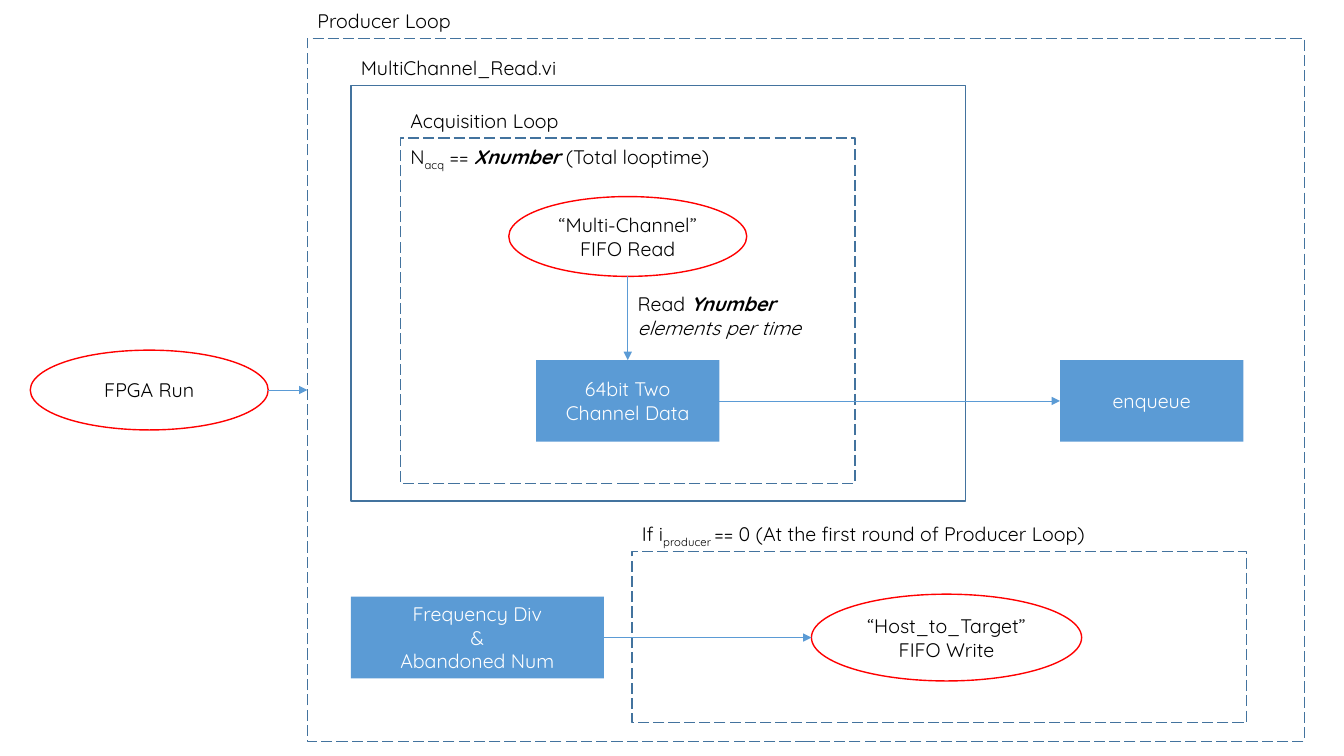
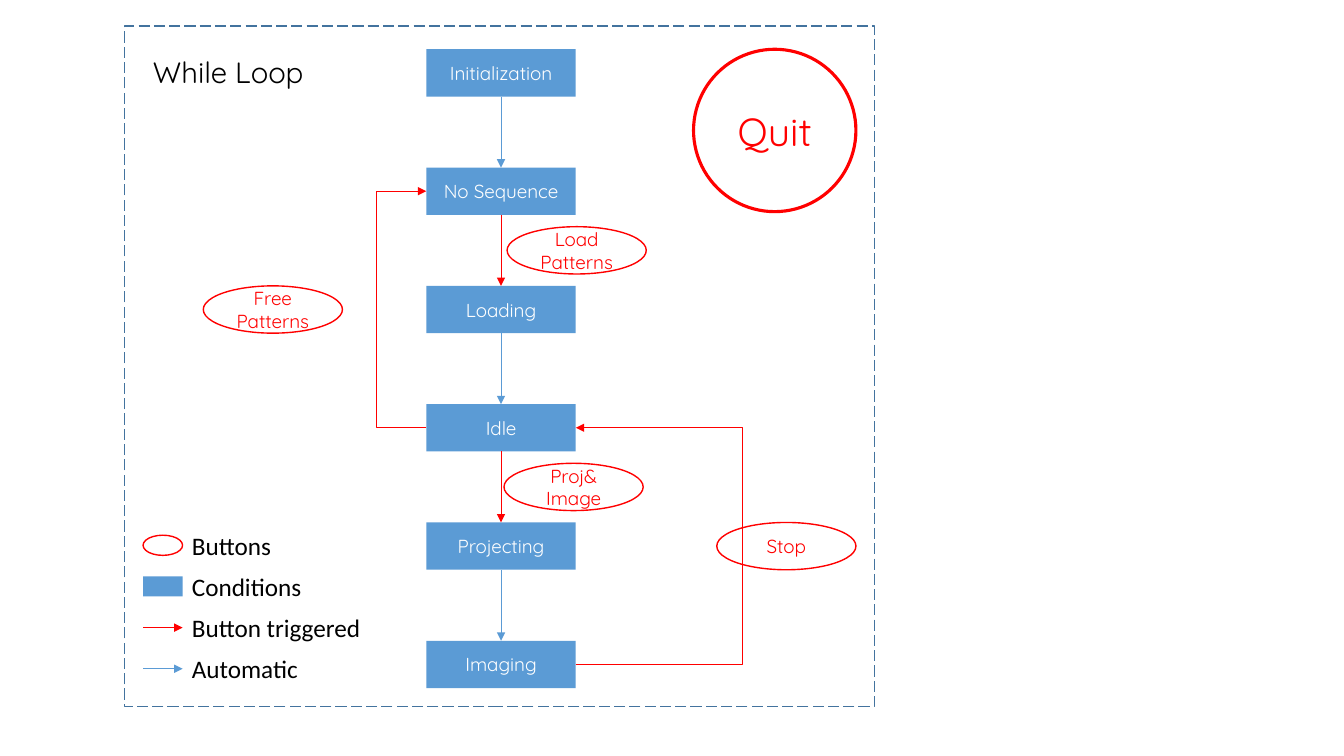
from lxml import etree
from pptx import Presentation
from pptx.dml.color import RGBColor
from pptx.enum.dml import MSO_LINE
from pptx.enum.shapes import MSO_CONNECTOR, MSO_SHAPE
from pptx.enum.text import MSO_ANCHOR, MSO_AUTO_SIZE, PP_ALIGN
from pptx.oxml.ns import qn
from pptx.util import Pt

# Shared style
BLUE = RGBColor(0x5B, 0x9B, 0xD5)
FRAME_BLUE = RGBColor(0x43, 0x73, 0x9E)
RED = RGBColor(0xFF, 0x00, 0x00)
BLACK = RGBColor(0x00, 0x00, 0x00)
WHITE = RGBColor(0xFF, 0xFF, 0xFF)
FONT = "Quicksand"
LEGEND_FONT = "Calibri"

RECT, OVAL = MSO_SHAPE.RECTANGLE, MSO_SHAPE.OVAL
STRAIGHT, ELBOW = MSO_CONNECTOR.STRAIGHT, MSO_CONNECTOR.ELBOW
LONG_DASH = MSO_LINE.LONG_DASH
CENTER, MIDDLE = PP_ALIGN.CENTER, MSO_ANCHOR.MIDDLE
FIT_SHAPE = MSO_AUTO_SIZE.SHAPE_TO_FIT_TEXT
TOP, LEFT, BOTTOM, RIGHT = range(4)


def side_point(sp, side):
    """Middle of one side of a shape, in points."""
    fx, fy = ((0.5, 0), (0, 0.5), (0.5, 1), (1, 0.5))[side]
    return (sp.left + sp.width * fx) / Pt(1), (sp.top + sp.height * fy) / Pt(1)


class Diagram:
    def __init__(self, prs, size):
        self.slide = prs.slides.add_slide(prs.slide_layouts[6])
        self.size = size

    def set_font(self, p, size, color, name=FONT):
        p.font.size, p.font.name = Pt(size), name
        p.font.color.rgb = color

    def shape(self, kind, at, fill=None, line=None, weight=1, shapes=None):
        shapes = shapes or self.slide.shapes
        sp = shapes.add_shape(kind, *map(Pt, at))
        sp.shadow.inherit = False
        if fill is None:
            sp.fill.background()
        else:
            sp.fill.solid()
            sp.fill.fore_color.rgb = fill
        if line is None:
            sp.line.fill.background()
        else:
            sp.line.color.rgb = line
            sp.line.width = Pt(weight)
        return sp

    def caption(self, sp, text, color, size=None):
        tf = sp.text_frame
        tf.text = text
        tf.vertical_anchor = MIDDLE
        for p in tf.paragraphs:
            p.alignment = CENTER
            self.set_font(p, size or self.size, color)

    def block(self, at, text=""):
        sp = self.shape(RECT, at, fill=BLUE)
        if text:
            self.caption(sp, text, WHITE)
        return sp

    def oval(self, at, text="", color=RED, size=None, weight=1):
        sp = self.shape(OVAL, at, line=RED, weight=weight)
        if text:
            self.caption(sp, text, color, size)
        return sp

    def text(self, at, runs, size=None, name=FONT, shapes=None):
        """Runs are (text, style) pairs; style is any of b, i and s (subscript)."""
        sp = (shapes or self.slide.shapes).add_textbox(*map(Pt, at))
        tf = sp.text_frame
        tf.word_wrap = True
        tf.auto_size = FIT_SHAPE
        p = tf.paragraphs[0]
        self.set_font(p, size or self.size, BLACK, name)
        for words, style in runs:
            r = p.add_run()
            r.text = words
            if "b" in style:
                r.font.bold = True
            if "i" in style:
                r.font.italic = True
            if "s" in style:
                r.font._element.set("baseline", "-25000")

    def frame(self, at, runs=None, label_width=0, dashed=True):
        """Outline, grouped with the label above it if there is one."""
        shapes = self.slide.shapes
        if runs:
            shapes = shapes.add_group_shape().shapes
        sp = self.shape(RECT, at, line=FRAME_BLUE, shapes=shapes)
        if dashed:
            sp.line.dash_style = LONG_DASH
        if runs:
            x, y = at[:2]
            self.text((x, y - 24.5, label_width, 24.5), runs, shapes=shapes)
        return sp

    def arrow(self, begin, end, color, kind=STRAIGHT):
        cxn = self.slide.shapes.add_connector(kind, *map(Pt, (*begin, *end)))
        cxn.line.color.rgb = color
        cxn.line.width = Pt(0.5)
        etree.SubElement(cxn.line._get_or_add_ln(), qn("a:tailEnd"), type="triangle")
        etree.SubElement(cxn._element.spPr, qn("a:effectLst"))
        return cxn

    def link(self, a, a_side, b, b_side, color=BLUE):
        cxn = self.arrow(side_point(a, a_side), side_point(b, b_side), color)
        if a.auto_shape_type == RECT:
            cxn.begin_connect(a, a_side)
        if b.auto_shape_type == RECT:
            cxn.end_connect(b, b_side)

    def loop_back(self, a, b, side, reach):
        """Bent arrow between the same side of two stacked shapes."""
        nudge = 0.1  # the bend is a multiple of the width, so it cannot be zero
        (x1, y1), (x2, y2) = side_point(a, side), side_point(b, side)
        x2 += nudge if side == RIGHT else -nudge
        cxn = self.arrow((x1, y1), (x2, y2), RED, ELBOW)
        guides = cxn._element.spPr.find(qn("a:prstGeom")).get_or_add_avLst()
        bend = round(reach / nudge * 100000)
        etree.SubElement(guides, qn("a:gd"), name="adj1", fmla=f"val {bend}")


def producer_slide(prs):
    d = Diagram(prs, 14)

    # Nested loops
    producer = d.frame((219.6, 27.4, 712.1, 502.4), [("Producer Loop", "")], 190.8)
    d.frame((250.6, 61.2, 439.2, 296.6), [("MultiChannel_Read.vi", "")], 190.8,
            dashed=False)
    d.frame((286, 98.6, 324.7, 247), [("Acquisition Loop", "")], 248.4)
    d.frame((451.4, 393.8, 439.2, 122.4),
            [("If i", ""), ("producer ", "s"),
             ("== 0 (At the first round of Producer Loop)", "")], 365)

    # Notes in the acquisition loop
    d.text((286, 100.1, 248.4, 24.5),
           [("N", ""), ("acq", "s"), (" == ", ""), ("Xnumber ", "bi"),
            ("(Total looptime)", "")])
    d.text((448.4, 205.2, 146.9, 41),
           [("Read ", ""), ("Ynumber", "bi"), (" elements per time", "i")])

    # Steps
    run = d.oval((21.6, 250.1, 170, 57), "FPGA Run", BLACK)
    read = d.oval((363.4, 140.4, 170, 57), "“Multi-Channel” FIFO Read", BLACK)
    write = d.oval((579.6, 424.4, 193, 62), "“Host_to_Target” FIFO Write", BLACK)
    data = d.block((382.9, 257.2, 131, 58.4), "64bit Two Channel Data")
    enqueue = d.block((757.2, 257.2, 131, 58.4), "enqueue")
    settings = d.block((250.6, 426.2, 180.7, 58.4),
                       "Frequency Div\n&\nAbandoned Num")

    # Flow
    d.link(run, RIGHT, producer, LEFT)
    d.link(read, BOTTOM, data, TOP)
    d.link(data, RIGHT, enqueue, LEFT)
    d.link(settings, RIGHT, write, LEFT)


def state_slide(prs):
    d = Diagram(prs, 13.5)
    height = 33.8

    def row_top(row):
        return 35.2 + 84.5 * row

    # States, top to bottom
    names = ("Initialization", "No Sequence", "Loading", "Idle", "Projecting",
             "Imaging")
    states = [d.block((304.6, row_top(i), 106.6, height), name)
              for i, name in enumerate(names)]
    colors = (BLUE, RED, BLUE, RED, BLUE)
    for above, below, color in zip(states, states[1:], colors):
        d.link(above, BOTTOM, below, TOP, color)
    _, no_sequence, _, idle, _, imaging = states
    d.loop_back(idle, no_sequence, LEFT, 31.5)
    d.loop_back(imaging, idle, RIGHT, 105.2)

    # Buttons, half rows lie between two states
    for x, row, name in ((145.2, 2, "Free Patterns"), (362.2, 1.5, "Load Patterns"),
                         (512, 4, "Stop"), (360, 3.5, "Proj& Image")):
        d.oval((x, row_top(row), 99.4, height), name)
    d.oval((495.4, 35.2, 116, 116), "Quit", size=28, weight=2.25)

    # Title and legend
    d.text((102.2, 35.2, 133.9, 32.4), [("While Loop", "")], size=21)
    x, width = 102.2, 28.2
    for i, name in enumerate(("Buttons", "Conditions", "Button triggered",
                              "Automatic")):
        y = 389.5 + 29.4 * i
        if i < 2:
            mark = (d.oval, d.block)[i]
            mark((x, y - 7.2, width, 14.4))
        else:
            d.arrow((x, y), (x + width, y), (RED, BLUE)[i - 2])
        d.text((130, y - 14.6, 136.8, 29), [(name, "")], 18, LEGEND_FONT)

    d.frame((88.9, 18.7, 535.7, 486))


def main():
    prs = Presentation()
    prs.slide_width, prs.slide_height = Pt(960), Pt(540)
    producer_slide(prs)
    state_slide(prs)
    prs.save("out.pptx")


if __name__ == "__main__":
    main()
